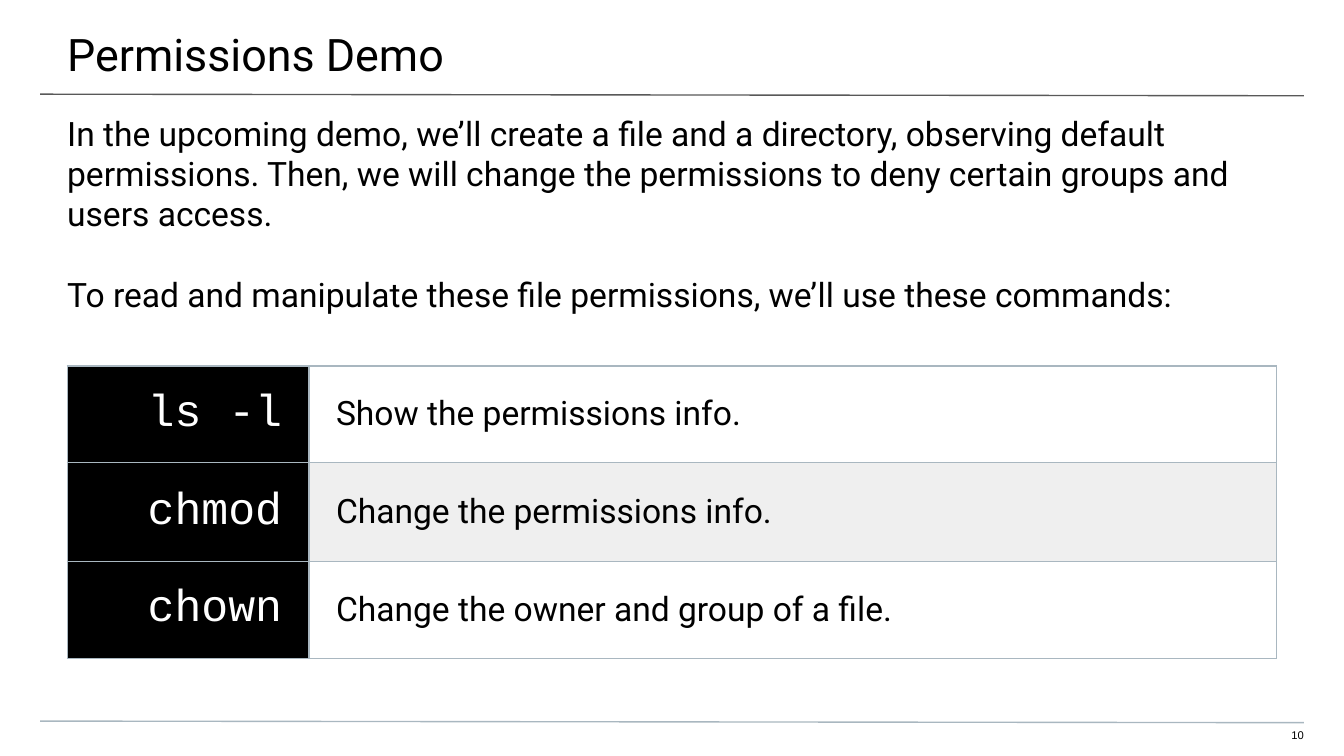
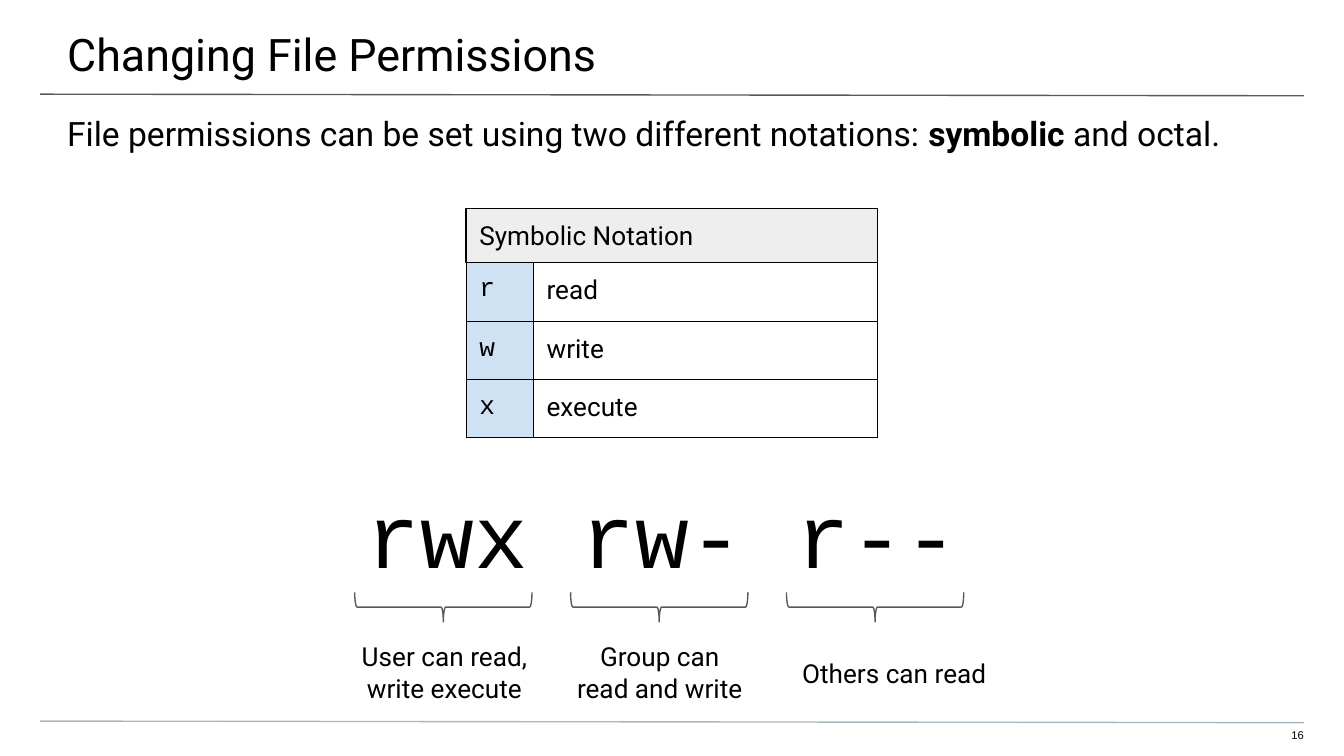
"""Build two slides about Unix file permissions."""
from lxml.etree import SubElement
from pptx import Presentation
from pptx.dml.color import RGBColor
from pptx.enum.shapes import MSO_CONNECTOR as Connector, MSO_SHAPE as Shape
from pptx.enum.text import MSO_ANCHOR as Anchor, PP_ALIGN as Align
from pptx.oxml.ns import qn
from pptx.util import Cm, Pt

BLACK, WHITE, DARK_GRAY, BLUE_GRAY = "000000", "FFFFFF", "595959", "A9B7C0"
LIGHT_GRAY, HEADING_GRAY, PALE_BLUE = "EFEFEF", "EEEEEE", "CFE2F3"
SANS, MONO = "Roboto", "Courier New"
INSET = (0.25, 0.25, 0.25, 0.25)
hex_color = RGBColor.from_string


def format_text(frame, size, font=SANS, color=BLACK, align=Align.LEFT):
    for paragraph in frame.paragraphs:
        paragraph.alignment = align
        for run in paragraph.runs:
            run.font.size = Pt(size)
            run.font.name = font
            run.font.color.rgb = hex_color(color)


def add_text(slide, box, text, size, font=SANS, align=Align.LEFT, insets=INSET):
    frame = slide.shapes.add_textbox(*map(Cm, box)).text_frame
    frame.word_wrap = True
    frame.margin_left, frame.margin_top, frame.margin_right, frame.margin_bottom = map(Cm, insets)
    frame.text = text
    format_text(frame, size, font, align=align)
    return frame


presentation = Presentation()
presentation.slide_width = Cm(25.4)
presentation.slide_height = Cm(14.29)

slides, bodies = [], []
for title, body, number in (
    (
        "Permissions Demo",
        "In the upcoming demo, we’ll create a file and a directory, observing default permissions. "
        "Then, we will change the permissions to deny certain groups and users access.\n"
        "To read and manipulate these file permissions, we’ll use these commands:",
        "10",
    ),
    (
        "Changing File Permissions",
        "File permissions can be set using two different notations: ",
        "16",
    ),
):
    slide = presentation.slides.add_slide(presentation.slide_layouts[6])
    for top, color in ((1.78, DARK_GRAY), (13.63, BLUE_GRAY)):
        rule = slide.shapes.add_connector(
            Connector.STRAIGHT, Cm(0.76), Cm(top), Cm(24.64), Cm(top + 0.03)
        )
        rule.line.color.rgb = hex_color(color)
        rule.line.width = Pt(0.75)
        SubElement(rule._element.spPr, qn("a:effectLst"))
    add_text(slide, (0, 0, 25.4, 1.47), title, 24, insets=(1.27, 0.51, 0.76, 0.25))
    bodies.append(add_text(slide, (0, 1.88, 25.4, 1.02), body, 18, insets=(1.27, 0.25, 1.27, 0)))
    add_text(slide, (23.9, 13.77, 0.74, 0.3), number, 6, "Arial", Align.RIGHT, (0, 0, 0, 0.25))
    slides.append(slide)

demo, notation = slides
demo_body, notation_body = bodies
demo_body.paragraphs[1].space_before = Pt(21.5)
for text in ("symbolic", " and octal."):
    notation_body.paragraphs[0].add_run().text = text
format_text(notation_body, 18)
notation_body.paragraphs[0].runs[1].font.bold = True

commands = (
    ("ls -l", "Show the permissions info."),
    ("chmod", "Change the permissions info."),
    ("chown", "Change the owner and group of a file."),
)
symbols = (("r", "read"), ("w", "write"), ("x", "execute"))
command_styles = ((24, MONO, WHITE, Align.RIGHT), (18, SANS, BLACK, Align.LEFT))
symbol_styles = ((14, MONO, BLACK, Align.LEFT), (14, SANS, BLACK, Align.LEFT))
command_fills = ((BLACK, WHITE), (BLACK, LIGHT_GRAY), (BLACK, WHITE))
symbol_fills = ((PALE_BLUE, WHITE),) * 3

for slide, left, top, widths, heights, rows, styles, fills, border, side, anchor in (
    (demo, 1.27, 6.92, (4.57, 18.29), (1.82, 1.88, 1.82), commands,
     command_styles, command_fills, BLUE_GRAY, 0.51, Anchor.MIDDLE),
    (notation, 8.81, 4.95, (1.27, 6.5), (1.12, 1.1, 1.1), symbols,
     symbol_styles, symbol_fills, BLACK, 0.25, Anchor.TOP),
):
    table = slide.shapes.add_table(
        len(rows), len(widths), Cm(left), Cm(top), Cm(sum(widths)), Cm(sum(heights))
    ).table
    table.first_row = table.horz_banding = False
    for column, width in zip(table.columns, widths):
        column.width = Cm(width)
    for row, height, texts, row_fills in zip(table.rows, heights, rows, fills):
        row.height = Cm(height)
        for cell, text, style, fill in zip(row.cells, texts, styles, row_fills):
            cell.text_frame.text = text
            format_text(cell.text_frame, *style)
            cell.vertical_anchor = anchor
            cell.margin_left = cell.margin_right = Cm(side)
            cell.margin_top = cell.margin_bottom = Cm(0.25)
            properties = cell._tc.get_or_add_tcPr()
            for edge in ("a:lnL", "a:lnR", "a:lnT", "a:lnB"):
                line = SubElement(properties, qn(edge), w=str(Pt(0.75)))
                SubElement(SubElement(line, qn("a:solidFill")), qn("a:srgbClr"), val=border)
            cell.fill.solid()
            cell.fill.fore_color.rgb = hex_color(fill)

heading = notation.shapes.add_shape(Shape.RECTANGLE, Cm(8.81), Cm(3.94), Cm(7.77), Cm(1.02))
heading.shadow.inherit = False
heading.fill.solid()
heading.fill.fore_color.rgb = hex_color(HEADING_GRAY)
heading.line.color.rgb = hex_color(BLACK)
heading.line.width = Pt(0.75)
heading.text_frame.text = "Symbolic Notation"
heading.text_frame.vertical_anchor = Anchor.MIDDLE
format_text(heading.text_frame, 14)

add_text(notation, (6.68, 8.81, 12.12, 1.8), "rwx rw- r--", 48, MONO)
for index, (label, box, align) in enumerate((
    ("User can read, write execute", (6.43, 11.86, 3.94, 1.8), Align.CENTER),
    ("Group can read and write", (10.64, 11.86, 3.66, 1.8), Align.CENTER),
    ("Others can read", (14.91, 12.17, 4.06, 1.17), Align.LEFT),
)):
    brace = notation.shapes.add_shape(
        Shape.LEFT_BRACE, Cm(8.1 + 4.08 * index), Cm(9.8), Cm(0.56), Cm(3.35)
    )
    brace.rotation = 270
    brace.adjustments[0] = 0.08
    brace.shadow.inherit = False
    brace.fill.background()
    brace.line.color.rgb = hex_color(DARK_GRAY)
    brace.line.width = Pt(0.75)
    add_text(notation, box, label, 14, align=align)

presentation.save("out.pptx")
